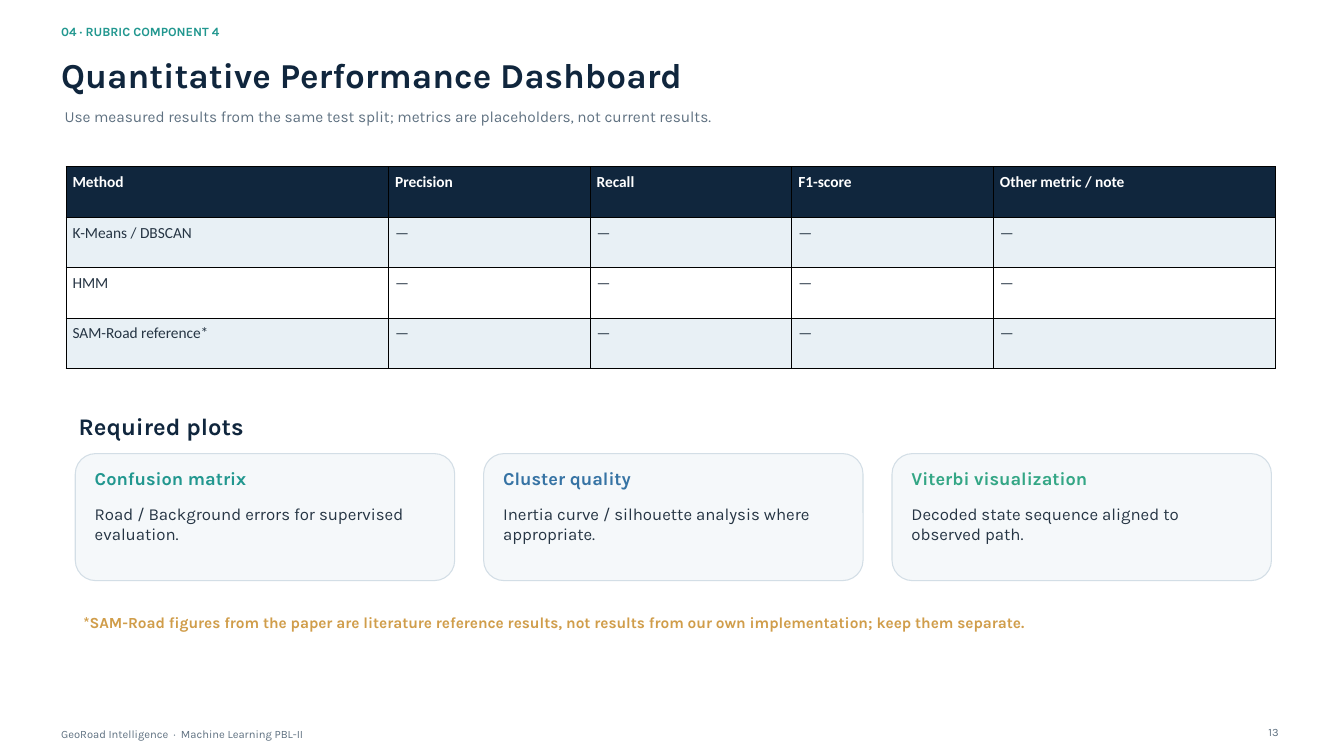
from dataclasses import dataclass

import pptx
import pptx.dml.color
import pptx.enum.shapes
import pptx.enum.text
import pptx.oxml
import pptx.oxml.ns
import pptx.util

RGBColor = pptx.dml.color.RGBColor
NAVY = RGBColor(0x10, 0x26, 0x3D)
TEAL = RGBColor(0x21, 0x97, 0x8F)
BLUE = RGBColor(0x36, 0x73, 0xA4)
GREEN = RGBColor(0x33, 0xA6, 0x85)
GOLD = RGBColor(0xD0, 0x9D, 0x4A)
SLATE = RGBColor(0x5F, 0x71, 0x81)
INK = RGBColor(0x26, 0x35, 0x44)
PALE = RGBColor(0xE8, 0xF0, 0xF5)
CARD_FILL = RGBColor(0xF5, 0xF8, 0xFA)
CARD_EDGE = RGBColor(0xD3, 0xDE, 0xE6)
WHITE = RGBColor(0xFF, 0xFF, 0xFF)

METHODS = ["K-Means / DBSCAN", "HMM", "SAM-Road reference*"]
HEADINGS = ["Method", "Precision", "Recall", "F1-score", "Other metric / note"]
COLUMN_SHARES = [8, 5, 5, 5, 7]
PLOTS = [
    ("Confusion matrix", TEAL, "Road / Background errors for supervised evaluation."),
    ("Cluster quality", BLUE, "Inertia curve / silhouette analysis where appropriate."),
    ("Viterbi visualization", GREEN, "Decoded state sequence aligned to observed path."),
]


@dataclass
class Box:
    left: int
    top: int
    width: int
    height: int

    def area(self, left, top, width, height):
        return Box(
            round(self.left + self.width * left / 100),
            round(self.top + self.height * top / 100),
            round(self.width * width / 100),
            round(self.height * height / 100),
        )

    def edges(self):
        return self.left, self.top, self.width, self.height


def fill_text(frame, words, size, color, bold=False, font="Karla", align="LEFT"):
    paragraph = frame.paragraphs[0]
    paragraph.alignment = pptx.enum.text.PP_ALIGN[align]
    paragraph.line_spacing = pptx.util.Pt(size * 1.2)
    run = paragraph.add_run()
    run.text = words
    run.font.name = font
    run.font.size = pptx.util.Pt(size)
    run.font.bold = bold
    run.font.color.rgb = color


def prepare_frame(frame):
    frame.margin_left = frame.margin_right = 0
    frame.margin_top = frame.margin_bottom = 0
    frame.word_wrap = True
    frame.auto_size = pptx.enum.text.MSO_AUTO_SIZE.NONE
    frame.vertical_anchor = pptx.enum.text.MSO_ANCHOR.TOP


def add_text(slide, box, words, size, color, **style):
    frame = slide.shapes.add_textbox(*box.edges()).text_frame
    prepare_frame(frame)
    fill_text(frame, words, size, color, **style)


def add_header(slide, box):
    add_text(slide, box.area(0, 0, 100, 16), "04 · RUBRIC COMPONENT 4",
             13.5, TEAL, bold=True)
    title = slide.shapes.title
    title.left, title.top, title.width, title.height = box.area(0, 26.7, 100, 43.5).edges()
    prepare_frame(title.text_frame)
    fill_text(title.text_frame, "Quantitative Performance Dashboard", 37.5, NAVY, bold=True)
    add_text(
        slide, box.area(0.28, 77, 99.2, 23),
        "Use measured results from the same test split; metrics are placeholders, "
        "not current results.", 16.5, SLATE)


def add_borders(cell):
    properties = cell._tc.get_or_add_tcPr()
    for position, side in enumerate(("lnL", "lnR", "lnT", "lnB")):
        properties.insert(position, pptx.oxml.parse_xml(
            f'<a:{side} {pptx.oxml.ns.nsdecls("a")} w="4700"><a:solidFill>'
            f'<a:srgbClr val="000000"/></a:solidFill></a:{side}>'))


def add_metrics_table(slide, box):
    rows = [HEADINGS] + [[method] + ["—"] * 4 for method in METHODS]
    table = slide.shapes.add_table(len(rows), len(HEADINGS), *box.edges()).table
    for column, share in zip(table.columns, COLUMN_SHARES):
        column.width = round(box.width * share / sum(COLUMN_SHARES))
    for index, values in enumerate(rows):
        table.rows[index].height = round(box.height / len(rows))
        is_head = index == 0
        for column, words in enumerate(values):
            cell = table.cell(index, column)
            cell.margin_left = cell.margin_right = pptx.util.Inches(0.1)
            cell.margin_top = cell.margin_bottom = pptx.util.Inches(0.1)
            cell.fill.solid()
            cell.fill.fore_color.rgb = NAVY if is_head else PALE if index % 2 else WHITE
            add_borders(cell)
            fill_text(cell.text_frame, words, 16.5, WHITE if is_head else INK,
                      bold=is_head, font="Calibri")


def add_plot_card(slide, box, heading, accent, description):
    panel = slide.shapes.add_shape(
        pptx.enum.shapes.MSO_SHAPE.ROUNDED_RECTANGLE, *box.edges())
    panel.adjustments[0] = 0.16
    panel.shadow.inherit = False
    panel.fill.solid()
    panel.fill.fore_color.rgb = CARD_FILL
    panel.line.color.rgb = CARD_EDGE
    panel.line.width = pptx.util.Pt(1.13)
    add_text(slide, box.area(5.13, 10.6, 89.74, 19.6), heading, 19.5, accent, bold=True)
    add_text(slide, box.area(5.13, 39.7, 89.74, 51.3), description, 18, INK)


def add_required_plots(slide, box):
    add_text(slide, box.area(0.28, 0, 99, 15.9), "Required plots", 25.5, NAVY, bold=True)
    gap = 2.42
    width = (100 - gap * (len(PLOTS) - 1)) / len(PLOTS)
    for index, plot in enumerate(PLOTS):
        add_plot_card(slide, box.area(index * (width + gap), 25, width, 75), *plot)


def add_footnote(slide, box):
    add_text(
        slide, box,
        "*SAM-Road figures from the paper are literature reference results, "
        "not results from our own implementation; keep them separate.",
        16.5, GOLD, bold=True)


def add_footer(slide, box):
    add_text(slide, box.area(0, 15.8, 86.5, 84.2),
             "GeoRoad Intelligence  ·  Machine Learning PBL-II", 12, SLATE)
    add_text(slide, box.area(95.86, 0, 4.14, 95), "13", 12, SLATE, align="RIGHT")


def main():
    deck = pptx.Presentation()
    deck.slide_width = pptx.util.Inches(20)
    deck.slide_height = pptx.util.Inches(11.25)
    slide = deck.slides.add_slide(deck.slide_layouts[5])
    slide.background.fill.solid()
    slide.background.fill.fore_color.rgb = WHITE
    page = Box(0, 0, deck.slide_width, deck.slide_height)
    add_header(slide, page.area(4.55, 3.2, 90.4, 14.31))
    add_metrics_table(slide, page.area(4.9, 22.04, 90, 26.67))
    add_required_plots(slide, page.area(5.6, 54.4, 89, 22.4))
    add_footnote(slide, page.area(6.2, 81.07, 86.65, 7.29))
    add_footer(slide, page.area(4.55, 95.91, 90.6, 1.69))
    deck.save("out.pptx")


if __name__ == "__main__":
    main()
